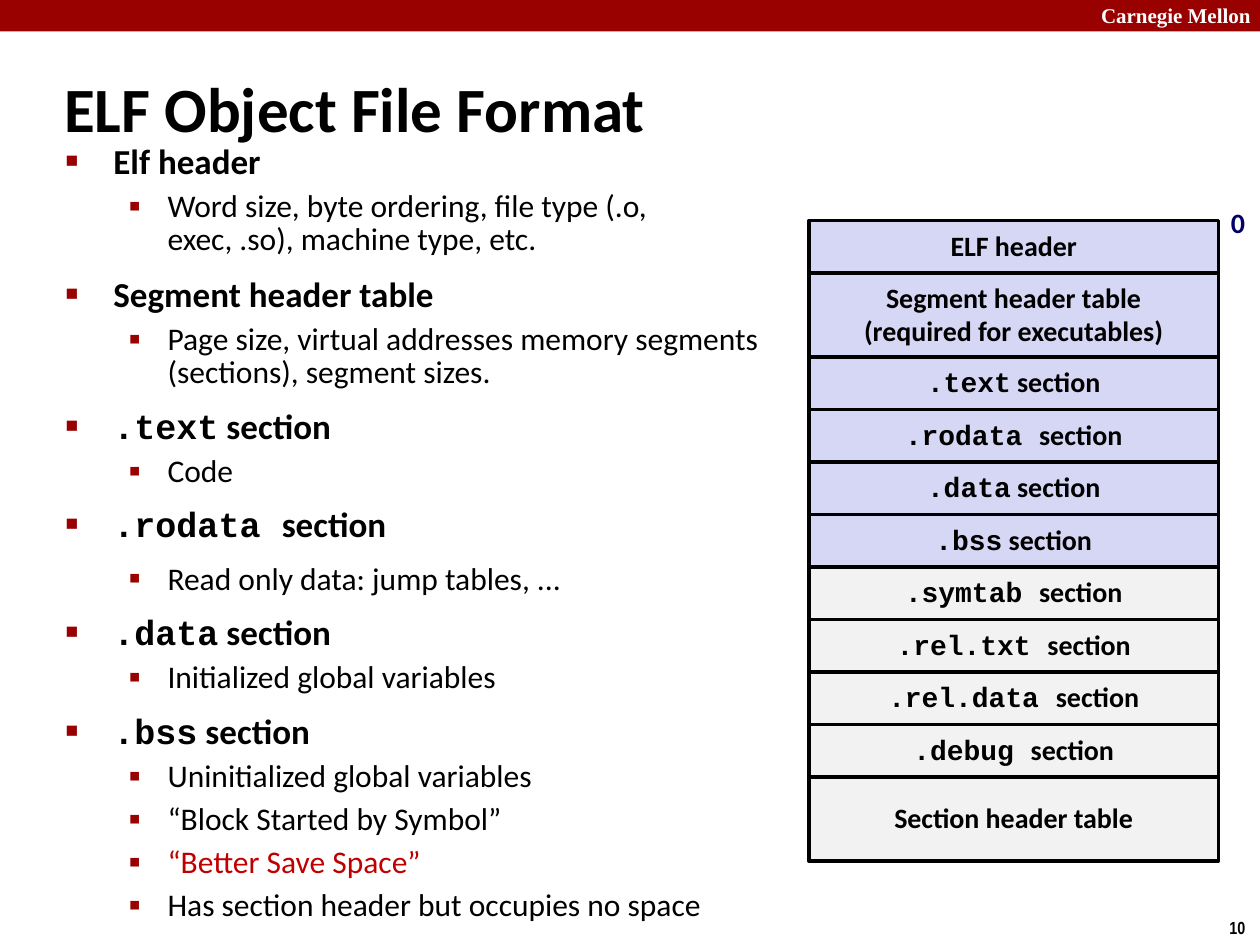
from dataclasses import dataclass
from lxml.etree import SubElement
from pptx import Presentation
from pptx.dml.color import RGBColor as RGB
from pptx.enum.shapes import MSO_SHAPE as SHAPE
from pptx.enum.text import MSO_ANCHOR as ANCHOR, MSO_AUTO_SIZE as AUTO, PP_ALIGN as ALIGN
from pptx.oxml.ns import qn
from pptx.util import Inches, Pt


@dataclass(frozen=True)
class Theme:
    sans: str = "Calibri"
    mono: str = "Courier New"
    serif: str = "Times New Roman"
    narrow: str = "Arial Narrow"
    black: str = "000000"
    white: str = "FFFFFF"
    crimson: str = "990000"
    accent: str = "C00000"
    navy: str = "000066"
    loaded: str = "D6D6F5"
    unloaded: str = "F2F2F2"
    title: int = 36
    topic: int = 20
    detail: int = 18
    label: int = 16
    header: int = 12
    number: int = 10


T = Theme()


@dataclass(frozen=True)
class Item:
    text: str
    code: str = ""
    level: int = 0
    color: str = T.black
    loose: bool = False


@dataclass(frozen=True)
class Section:
    text: str
    code: str = ""
    fill: str = T.loaded
    height: float = 5 / 12


@dataclass(frozen=True)
class Bullet:
    char: str
    percent: int
    margin: float
    hang: float


BULLETS = (Bullet("■", 60, 0.38, 0.38), Bullet("▪", 110, 0.81, 0.31))
TALL = 2 / 3

ITEMS = (
    Item("Elf header"),
    Item("Word size, byte ordering, file type (.o, exec, .so), machine type, etc.", level=1),
    Item("Segment header table"),
    Item("Page size, virtual addresses memory segments (sections), segment sizes.", level=1),
    Item(" section", ".text"),
    Item("Code", level=1),
    Item("section", ".rodata "),
    Item("Read only data: jump tables, ...", level=1, loose=True),
    Item(" section", ".data"),
    Item("Initialized global variables", level=1),
    Item(" section", ".bss"),
    Item("Uninitialized global variables", level=1),
    Item("“Block Started by Symbol”", level=1),
    Item("“Better Save Space”", level=1, color=T.accent),
    Item("Has section header but occupies no space", level=1),
)

SECTIONS = (
    Section("ELF header"),
    Section("Segment header table\n(required for executables)", height=TALL),
    Section(" section", ".text"),
    Section("section", ".rodata "),
    Section(" section", ".data"),
    Section(" section", ".bss"),
    Section("section", ".symtab ", T.unloaded),
    Section("section", ".rel.txt ", T.unloaded),
    Section("section", ".rel.data ", T.unloaded),
    Section("section", ".debug ", T.unloaded),
    Section("Section header table", fill=T.unloaded, height=TALL),
)


def add_run(p, text: str, size: int, font: str = T.sans, color: str = T.black, bold: bool = True) -> None:
    r = p.add_run()
    r.text = text
    r.font.size, r.font.name, r.font.bold = Pt(size), font, bold
    r.font.color.rgb = RGB.from_string(color)


def add_rect(s, x: float, y: float, w: float, h: float, fill: str):
    sp = s.shapes.add_shape(SHAPE.RECTANGLE, Inches(x), Inches(y), Inches(w), Inches(h))
    sp.shadow.inherit = False
    sp.fill.solid()
    sp.fill.fore_color.rgb = RGB.from_string(fill)
    sp.line.fill.background()
    return sp


def add_label(s, text: str, x: float, y: float, w: float, h: float,
              size: int, font: str, color: str, wrap: bool = False) -> None:
    tf = s.shapes.add_textbox(Inches(x), Inches(y), Inches(w), Inches(h)).text_frame
    tf.word_wrap = wrap
    tf.auto_size = AUTO.SHAPE_TO_FIT_TEXT
    add_run(tf.paragraphs[0], text, size, font, color)


def place(sp, x: float, y: float, w: float, h: float) -> None:
    sp.left, sp.top, sp.width, sp.height = Inches(x), Inches(y), Inches(w), Inches(h)
    sp.text_frame.word_wrap = True
    sp.text_frame.auto_size = AUTO.NONE


def set_bullet(p, bullet: Bullet) -> None:
    pPr = p._p.get_or_add_pPr()
    pPr.set("marL", str(Inches(bullet.margin)))
    pPr.set("indent", str(-Inches(bullet.hang)))
    SubElement(SubElement(pPr, qn("a:buClr")), qn("a:srgbClr"), val=T.crimson)
    SubElement(pPr, qn("a:buSzPct"), val=str(bullet.percent * 1000))
    SubElement(pPr, qn("a:buChar"), char=bullet.char)


def fill_list(tf, items: tuple[Item, ...]) -> None:
    for i, item in enumerate(items):
        p = tf.add_paragraph() if i else tf.paragraphs[0]
        p.level = item.level
        set_bullet(p, BULLETS[item.level])
        wide = item.level == 0 or item.loose
        p.space_before = Pt(0 if i == 0 else 12.5 if wide else 5.6)
        p.line_spacing = 0.8 if item.code or item.loose else 0.88 if item.level else 0.83
        size = T.detail if item.level else T.topic
        if item.code:
            add_run(p, item.code, size, T.mono)
        add_run(p, item.text, size, color=item.color, bold=item.level == 0)


def add_section(s, section: Section, y: float) -> None:
    sp = add_rect(s, 6.42, y, 3.25, section.height, section.fill)
    sp.line.color.rgb = RGB.from_string(T.black)
    sp.line.width = Pt(2)
    tf = sp.text_frame
    tf.word_wrap = False
    tf.vertical_anchor = ANCHOR.MIDDLE
    for i, line in enumerate(section.text.split("\n")):
        p = tf.add_paragraph() if i else tf.paragraphs[0]
        p.alignment = ALIGN.CENTER
        p.line_spacing = 0.94 if section.code else 0.98
        if section.code:
            add_run(p, section.code, T.label, T.mono)
        add_run(p, line, T.label)


def main() -> None:
    prs = Presentation()
    prs.slide_width, prs.slide_height = Inches(10), Inches(7.5)
    s = prs.slides.add_slide(prs.slide_layouts[1])

    add_rect(s, 0, 0, 10, 0.25, T.crimson)
    add_label(s, "Carnegie Mellon", 8.64, -0.03, 1.43, 0.3, T.header, T.serif, T.white, wrap=True)
    add_label(s, "10", 9.66, 7.23, 0.34, 0.27, T.number, T.narrow, T.black)

    title, body = s.shapes.title, s.placeholders[1]
    place(title, 0.41, 0.42, 9.53, 0.86)
    title.text_frame.vertical_anchor = ANCHOR.MIDDLE
    p = title.text_frame.paragraphs[0]
    p.alignment = ALIGN.LEFT
    add_run(p, "ELF Object File Format", T.title)

    place(body, 0.42, 1.11, 5.85, 5.89)
    fill_list(body.text_frame, ITEMS)

    y = 1.75
    for section in SECTIONS:
        add_section(s, section, y)
        y += section.height
    add_label(s, "0", 9.67, 1.58, 0.31, 0.37, T.label, T.sans, T.navy)

    prs.save("out.pptx")


if __name__ == "__main__":
    main()
